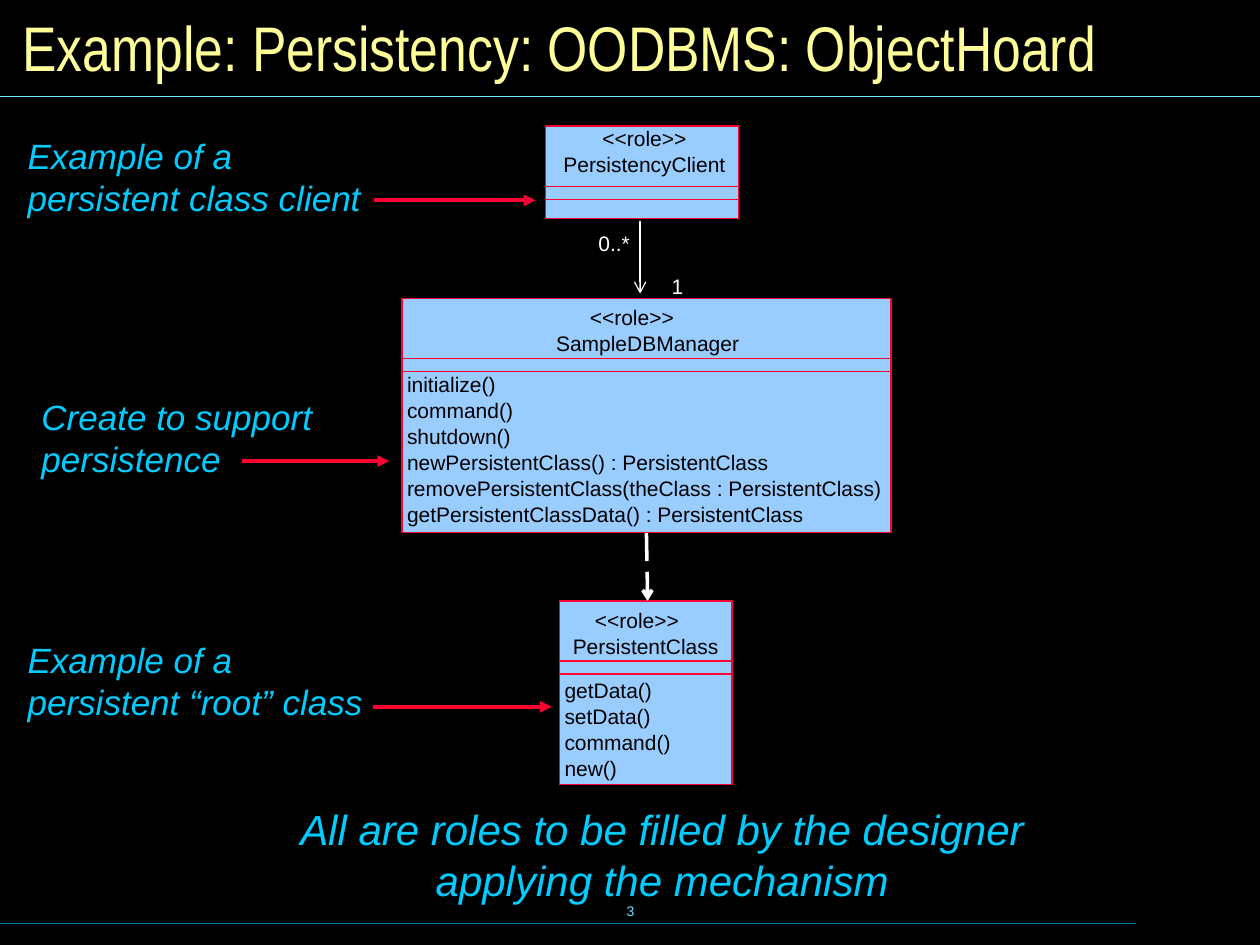
from dataclasses import dataclass

from lxml import etree
from pptx import Presentation
from pptx.dml.color import RGBColor
from pptx.enum import dml, shapes, text
from pptx.oxml import ns
from pptx.util import Pt


@dataclass(frozen=True)
class Theme:
    background: str = "000000"
    title: str = "FFFF99"
    rule: str = "73E1FF"
    footer_rule: str = "007E9F"
    note: str = "00CCFF"
    accent: str = "FF0033"
    class_fill: str = "99CCFF"
    class_text: str = "000000"
    link: str = "FFFFFF"
    font: str = "Arial"
    title_font: str = "Arial Narrow"
    title_size: float = 36
    summary_size: float = 24
    note_size: float = 20
    uml_size: float = 12
    page_size: float = 8


T = Theme()
LEFT, CENTER = text.PP_ALIGN.LEFT, text.PP_ALIGN.CENTER
TOP, MIDDLE = text.MSO_ANCHOR.TOP, text.MSO_ANCHOR.MIDDLE
LINE_H = 14.8  # pitch of the lines inside a class box


def rgb(value):
    return RGBColor.from_string(value)


def add_text(s, box, words, size, color, align=LEFT, inset=(0, 0),
             anchor=TOP, font=T.font, italic=False):
    sp = s.shapes.add_textbox(*map(Pt, box))
    tf = sp.text_frame
    tf.word_wrap = True
    tf.vertical_anchor = anchor
    tf.margin_left = tf.margin_right = Pt(inset[0])
    tf.margin_top = tf.margin_bottom = Pt(inset[1])
    p = tf.paragraphs[0]
    p.text = words
    p.alignment = align
    p.font.name, p.font.size, p.font.italic = font, Pt(size), italic
    p.font.color.rgb = rgb(color)


def add_line(s, start, end, color, width, head=None, dash=None):
    sp = s.shapes.add_connector(shapes.MSO_CONNECTOR.STRAIGHT,
                                *map(Pt, (*start, *end)))
    sp.line.color.rgb = rgb(color)
    sp.line.width = Pt(width)
    if dash:
        sp.line.dash_style = dash
    if head:
        etree.SubElement(sp.line._get_or_add_ln(), ns.qn("a:tailEnd"), type=head)
    etree.SubElement(sp._element.spPr, ns.qn("a:effectLst"))


def add_header(s, x, y, w, h):
    add_line(s, (x, y + h), (x + w, y + h), T.rule, 0.75)
    add_text(s, (x + 5.8, y + 5.8, w - 11.6, 41.8),
             "Example: Persistency: OODBMS: ObjectHoard", T.title_size, T.title,
             inset=(7.2, 3.6), anchor=MIDDLE, font=T.title_font)


def add_footer(s, x, y, w, h):
    add_line(s, (x, y + 25.2), (x + 649.4, y + 25.2), T.footer_rule, 0.75)
    add_text(s, (x + 246.2, y, 228.2, h), "3", T.page_size, T.rule, CENTER,
             inset=(7.2, 3.6), anchor=MIDDLE)


def add_class(s, x, y, w, h, name, methods=(), name_y=3.6, role_dx=0.0,
              name_dx=0.0, methods_y=41.8):
    # Name, attribute and operation compartments, each over the one before
    for top in (0, 34.4, 41.8):
        sp = s.shapes.add_shape(shapes.MSO_SHAPE.RECTANGLE,
                                *map(Pt, (x, y + top, w, h - top)))
        sp.shadow.inherit = False
        sp.fill.solid()
        sp.fill.fore_color.rgb = rgb(T.class_fill)
        sp.line.color.rgb = rgb(T.accent)
        sp.line.width = Pt(0)
    for i, (words, dx) in enumerate((("<<role>>", role_dx), (name, name_dx))):
        add_text(s, (x + dx, y + name_y + i * LINE_H, w, LINE_H), words,
                 T.uml_size, T.class_text, CENTER)
    for i, words in enumerate(methods):
        add_text(s, (x + 2.9, y + methods_y + i * LINE_H, w - 2.9, LINE_H),
                 words, T.uml_size, T.class_text)


def add_callout(s, x, y, w, h, words, arrow_x, arrow_y, arrow_w):
    add_text(s, (x, y, w, h), words, T.note_size, T.note, inset=(8.6, 4.3),
             italic=True)
    add_line(s, (x + arrow_x, y + arrow_y), (x + arrow_x + arrow_w, y + arrow_y),
             T.accent, 2.25, "triangle")


def add_links(s, x, y):
    # Association with its multiplicities, then the dependency
    add_line(s, (x, y), (x, y + 41.8), T.link, 0.75, "arrow")
    add_text(s, (x - 23.8, y + 5.8, 20, LINE_H), "0..*", T.uml_size, T.link)
    add_text(s, (x + 18, y + 30.2, 10, LINE_H), "1", T.uml_size, T.link)
    add_line(s, (x + 3.6, y + 178.6), (x + 4.3, y + 217.4), T.link, 0, "arrow",
             dml.MSO_LINE.LONG_DASH)


def main():
    prs = Presentation()
    prs.slide_width, prs.slide_height = Pt(720), Pt(540)
    s = prs.slides.add_slide(prs.slide_layouts[6])
    s.background.fill.solid()
    s.background.fill.fore_color.rgb = rgb(T.background)

    add_footer(s, 0, 502.6, 720, 36)
    add_header(s, 0, 0, 720, 55)

    # Class diagram
    add_class(s, 311.8, 72, 110.2, 53, "PersistencyClient", name_y=0,
              role_dx=1.4, name_dx=1.4)
    add_class(s, 229.7, 170.6, 279.4, 133.9, "SampleDBManager",
              ("initialize()", "command()", "shutdown()",
               "newPersistentClass() : PersistentClass",
               "removePersistentClass(theClass : PersistentClass)",
               "getPersistentClassData() : PersistentClass"),
              role_dx=-8.3, name_dx=0.7)
    add_class(s, 319.7, 343.4, 98.6, 105.1, "PersistentClass",
              ("getData()", "setData()", "command()", "new()"),
              role_dx=-5, methods_y=43.9)
    add_links(s, 365.8, 126)

    # Callouts
    add_callout(s, 7.2, 72.7, 216, 57, "Example of a persistent class client",
                206.6, 41.8, 92.2)
    add_callout(s, 15.1, 221.8, 216, 57, "Create to support persistence",
                123.1, 41.7, 84.2)
    add_callout(s, 7.2, 360.7, 216, 57, "Example of a persistent “root” class",
                205.9, 43.2, 102.2)

    # Summary
    add_text(s, (144, 455, 468.7, 66.2),
             "All are roles to be filled by the designer applying the mechanism",
             T.summary_size, T.note, CENTER, inset=(8.6, 4.3), italic=True)

    prs.save("out.pptx")


if __name__ == "__main__":
    main()
